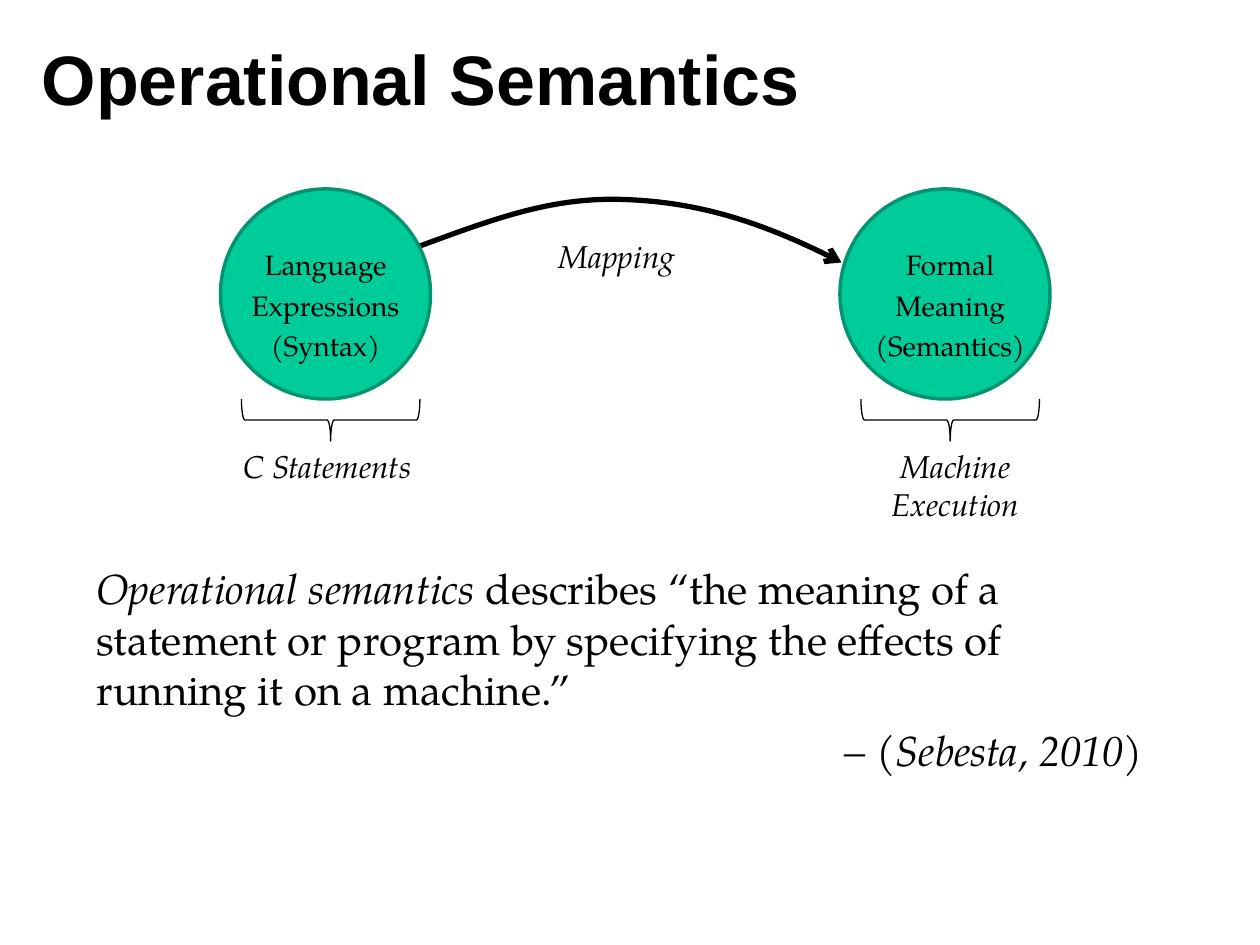
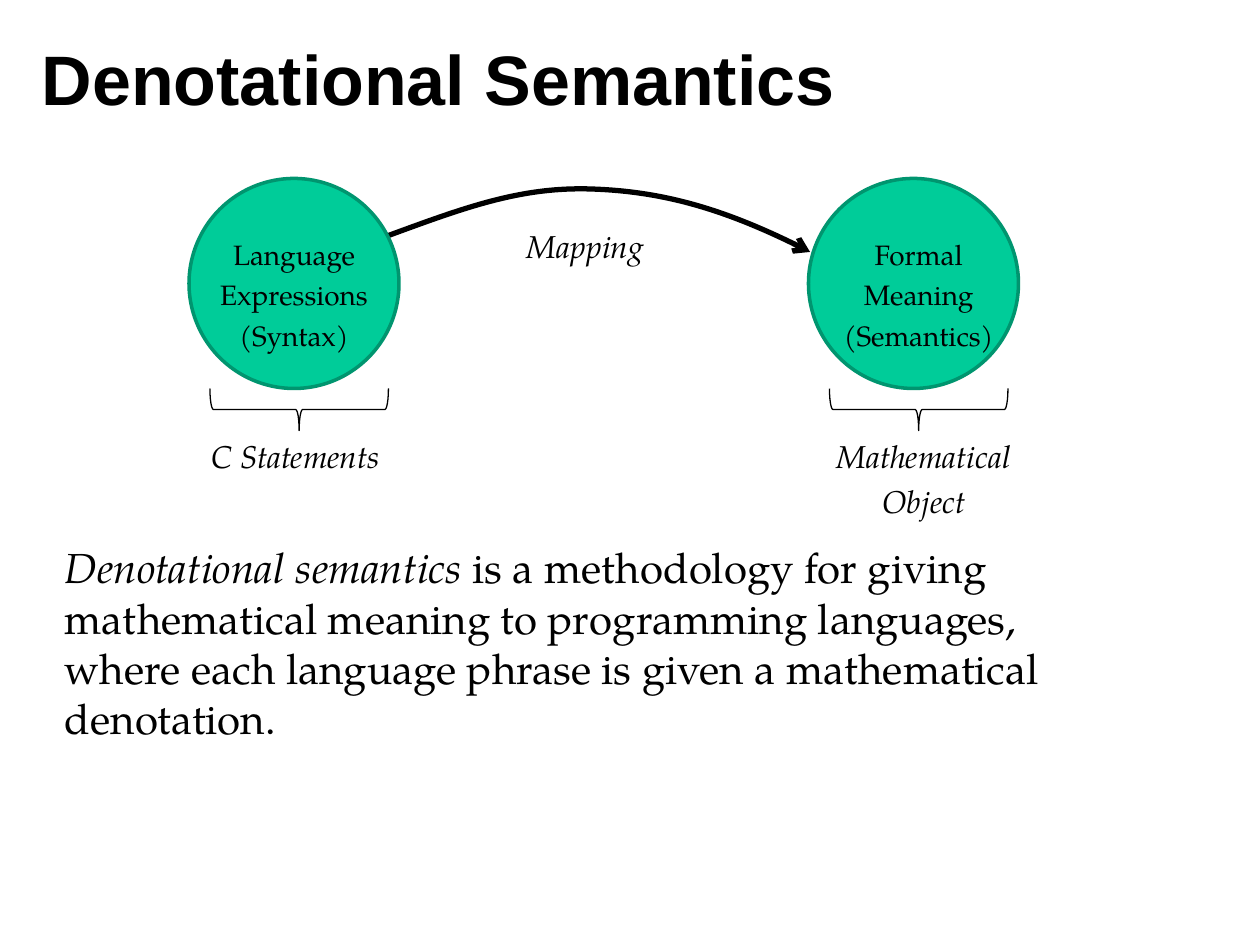
from lxml import etree
from pptx import Presentation
from pptx import util as u
from pptx.dml.color import RGBColor
from pptx.enum import shapes, text
from pptx.oxml import ns

COLUMNS, ROWS = 120, 90
CIRCLE = 20
CIRCLE_STEP = 59
BRACE_LEFT, BRACE_TOP, BRACE_WIDTH, BRACE_DEPTH = 2, 20, 17, 4
ARC = [(18, 5.8), (25.9, 2.9), (31.3, 0.8), (38.2, 1), (45, 1.2), (51.6, 3.1), (59.15, 7)]
HEADING_FONT, SERIF = "Arial", "TeX Gyre Pagella"
INK, GREEN, DARK_GREEN = "000000", "00CC99", "00956F"
LEFT, CENTER, RIGHT = text.PP_ALIGN.LEFT, text.PP_ALIGN.CENTER, text.PP_ALIGN.RIGHT


def color(value):
    return RGBColor.from_string(value)


class Sketch:
    """Draws styled elements on the current page, in grid cells from a movable origin."""

    def __init__(self):
        self.deck = Presentation()
        self.deck.slide_width, self.deck.slide_height = u.Inches(10), u.Inches(7.5)
        self.cell = self.deck.slide_width / COLUMNS

    def new_page(self, title):
        self.page = self.deck.slides.add_slide(self.deck.slide_layouts[6])
        self.origin = (0, 0)
        box = self.label((2.8, 1.8, 96.4, 11.1), [title], 40, font=HEADING_FONT, bold=True)
        box.text_frame.vertical_anchor = text.MSO_ANCHOR.MIDDLE

    def point(self, column, row):
        return tuple(round((offset + place) * self.cell)
                     for offset, place in zip(self.origin, (column, row)))

    def frame(self, area):
        return (*self.point(*area[:2]), *(round(side * self.cell) for side in area[2:]))

    def box(self, area):
        box = self.page.shapes.add_textbox(*self.frame(area))
        box.text_frame.word_wrap = True
        return box

    def style(self, para, size, font=SERIF, italic=False, bold=False):
        for span in para.runs:
            span.font.name, span.font.size = font, u.Pt(size)
            span.font.italic, span.font.bold = italic, bold
            span.font.color.rgb = color(INK)

    def label(self, area, lines, size, align=LEFT, **look):
        box = self.box(area)
        box.text_frame.text = "\n".join(lines)
        for index, para in enumerate(box.text_frame.paragraphs):
            para.alignment = align
            para.space_before = u.Pt(size / 4 if index else 0)
            self.style(para, size, **look)
        return box

    def definition(self, area, term, lines, citation=None):
        frame = self.box(area).text_frame
        para = frame.paragraphs[0]
        para.add_run().text = term + " "
        for index, line in enumerate(lines):
            if index:
                para.add_line_break()
            para.add_run().text = line
        self.style(para, 24)
        para.runs[0].font.italic = True
        if citation:
            source = frame.add_paragraph()
            source.text = citation
            source.alignment, source.space_before = RIGHT, u.Pt(6)
            self.style(source, 24, italic=True)

    def outline(self, shape, width, line, fill=None):
        shape.shadow.inherit = False
        shape.line.color.rgb, shape.line.width = color(line), u.Pt(width)
        if fill:
            shape.fill.solid()
            shape.fill.fore_color.rgb = color(fill)
        else:
            shape.fill.background()

    def circle(self, column):
        shape = self.page.shapes.add_shape(
            shapes.MSO_SHAPE.OVAL, *self.frame((column, 0, CIRCLE, CIRCLE)))
        self.outline(shape, 2, DARK_GREEN, GREEN)

    def brace(self, column):
        shift = (BRACE_WIDTH - BRACE_DEPTH) / 2
        area = (column + BRACE_LEFT + shift, BRACE_TOP - shift, BRACE_DEPTH, BRACE_WIDTH)
        shape = self.page.shapes.add_shape(shapes.MSO_SHAPE.LEFT_BRACE, *self.frame(area))
        shape.rotation = 270
        self.outline(shape, 0.75, INK)

    def curved_arrow(self, points):
        start, *rest = [self.point(*place) for place in points]
        builder = self.page.shapes.build_freeform(*start)
        builder.add_line_segments(rest, close=False)
        arrow = builder.convert_to_shape()
        self.outline(arrow, 3, INK)
        segments = arrow.element.xpath(".//a:lnTo")
        for first in range(0, len(segments), 3):
            curve = etree.Element(ns.qn("a:cubicBezTo"))
            segments[first].addprevious(curve)
            for segment in segments[first:first + 3]:
                curve.append(segment[0])
                segment.getparent().remove(segment)
        line = arrow.element.xpath("./p:spPr/a:ln")[0]
        etree.SubElement(line, ns.qn("a:tailEnd"), type="arrow")

    def mapping(self, origin, result):
        self.origin = origin
        self.circle(CIRCLE_STEP)
        self.curved_arrow(ARC)
        self.label((60, 5, 19, 11), ["Formal", "Meaning", "(Semantics)"], 16, CENTER)
        self.circle(0)
        self.label((1, 5, 18, 11), ["Language", "Expressions", "(Syntax)"], 16, CENTER)
        for column in (0, CIRCLE_STEP):
            self.brace(column)
        self.label((1, 24, 19, 6), ["C Statements"], 18, italic=True)
        self.label((60, 24, 20, 8), result, 18, CENTER, italic=True)
        self.label((31, 4, 15, 6), ["Mapping"], 18, italic=True)
        self.origin = (0, 0)


def main():
    sketch = Sketch()

    sketch.new_page("Operational Semantics")
    sketch.definition(
        (8, 53, 102, 22), "Operational semantics",
        ["describes “the meaning of a statement or program by specifying the effects of ",
         "running it on a machine.”"],
        "– (Sebesta, 2010)")
    sketch.mapping((21, 18), ["Machine Execution"])

    sketch.new_page("Denotational Semantics")
    sketch.definition(
        (5, 51, 109, 24), "Denotational semantics",
        ["is a methodology for giving",
         "mathematical meaning to programming languages, ",
         "where each language phrase is given a mathematical denotation."])
    sketch.mapping((18, 17), ["Mathematical", "Object"])

    sketch.deck.save("out.pptx")


if __name__ == "__main__":
    main()
